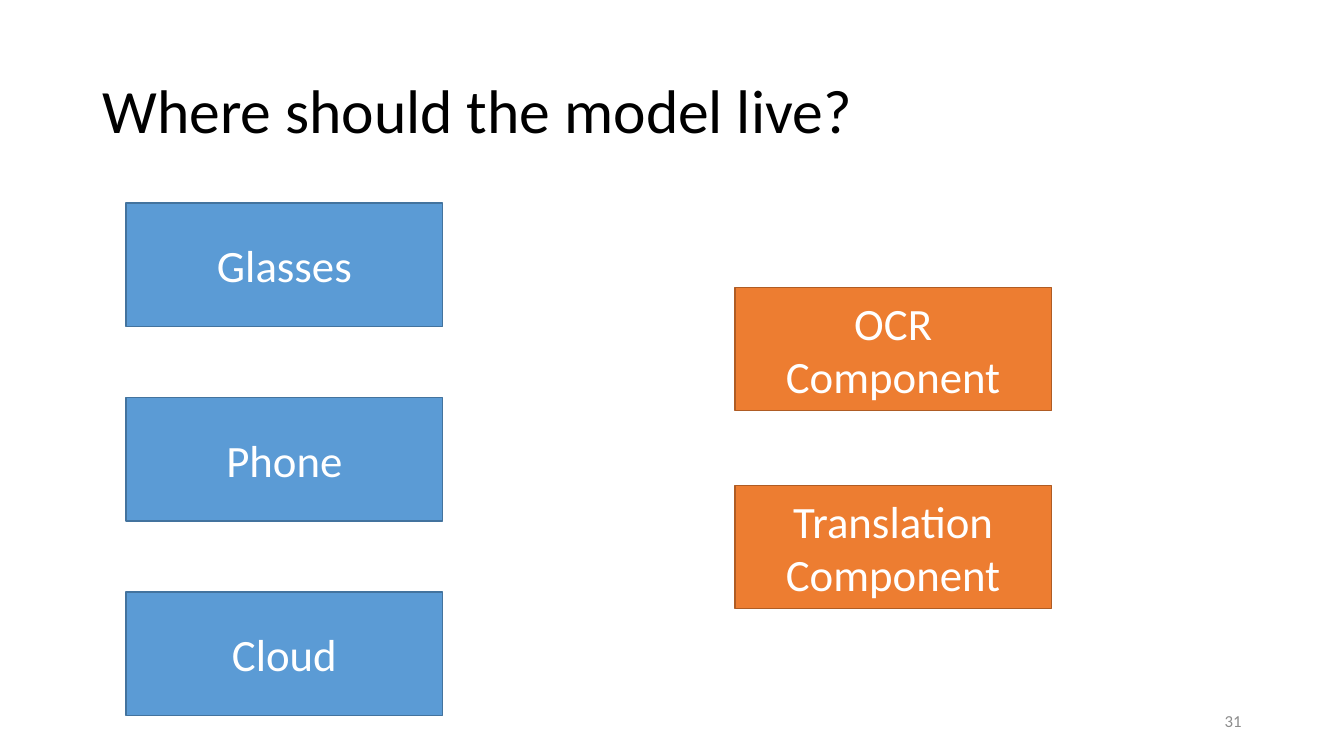
from dataclasses import dataclass

from pptx import Presentation
from pptx.dml.color import RGBColor
from pptx.enum import shapes, text
from pptx.util import Cm, Pt


@dataclass(frozen=True)
class Theme:
    font: str = "Calibri"
    black: str = "000000"
    white: str = "FFFFFF"
    grey: str = "8C8C8C"
    blue: str = "5B9BD5"
    blue_edge: str = "43739E"
    orange: str = "ED7D31"
    orange_edge: str = "AF5C24"
    title_size: int = 44
    box_size: int = 32
    number_size: int = 12


theme = Theme()


def write(shape, words, size, color, align):
    frame = shape.text_frame
    frame.word_wrap = True
    frame.auto_size = text.MSO_AUTO_SIZE.NONE
    frame.vertical_anchor = text.MSO_ANCHOR.MIDDLE
    para = frame.paragraphs[0]
    para.text = words
    para.alignment = align
    para.font.name = theme.font
    para.font.size = Pt(size)
    para.font.color.rgb = RGBColor.from_string(color)
    return para


deck = Presentation()
deck.slide_width, deck.slide_height = Cm(33.87), Cm(19.05)
page = deck.slides.add_slide(deck.slide_layouts.get_by_name("Title Only"))

title = page.shapes.title
title.left, title.top, title.width, title.height = Cm(2.33), Cm(1.01), Cm(29.21), Cm(3.68)
heading = write(title, "Where should the model live?", theme.title_size,
                theme.black, text.PP_ALIGN.LEFT)
heading.line_spacing = 0.9

number = page.shapes.add_textbox(Cm(23.92), Cm(17.66), Cm(7.62), Cm(1.01))
write(number, "31", theme.number_size, theme.grey, text.PP_ALIGN.RIGHT)

# Each column: labels, left, top, step (cm), fill, edge
columns = [
    (["Glasses", "Phone", "Cloud"], 3.18, 5.12, 4.9, theme.blue, theme.blue_edge),
    (["OCR Component", "Translation Component"], 18.52, 7.24, 4.99,
     theme.orange, theme.orange_edge),
]
for labels, left, top, step, fill, edge in columns:
    for row, label in enumerate(labels):
        box = page.shapes.add_shape(shapes.MSO_SHAPE.RECTANGLE, Cm(left),
                                    Cm(top + row * step), Cm(7.98), Cm(3.11))
        box.shadow.inherit = False
        box.fill.solid()
        box.fill.fore_color.rgb = RGBColor.from_string(fill)
        box.line.color.rgb = RGBColor.from_string(edge)
        box.line.width = Pt(1)
        write(box, label, theme.box_size, theme.white, text.PP_ALIGN.CENTER)

deck.save("out.pptx")
